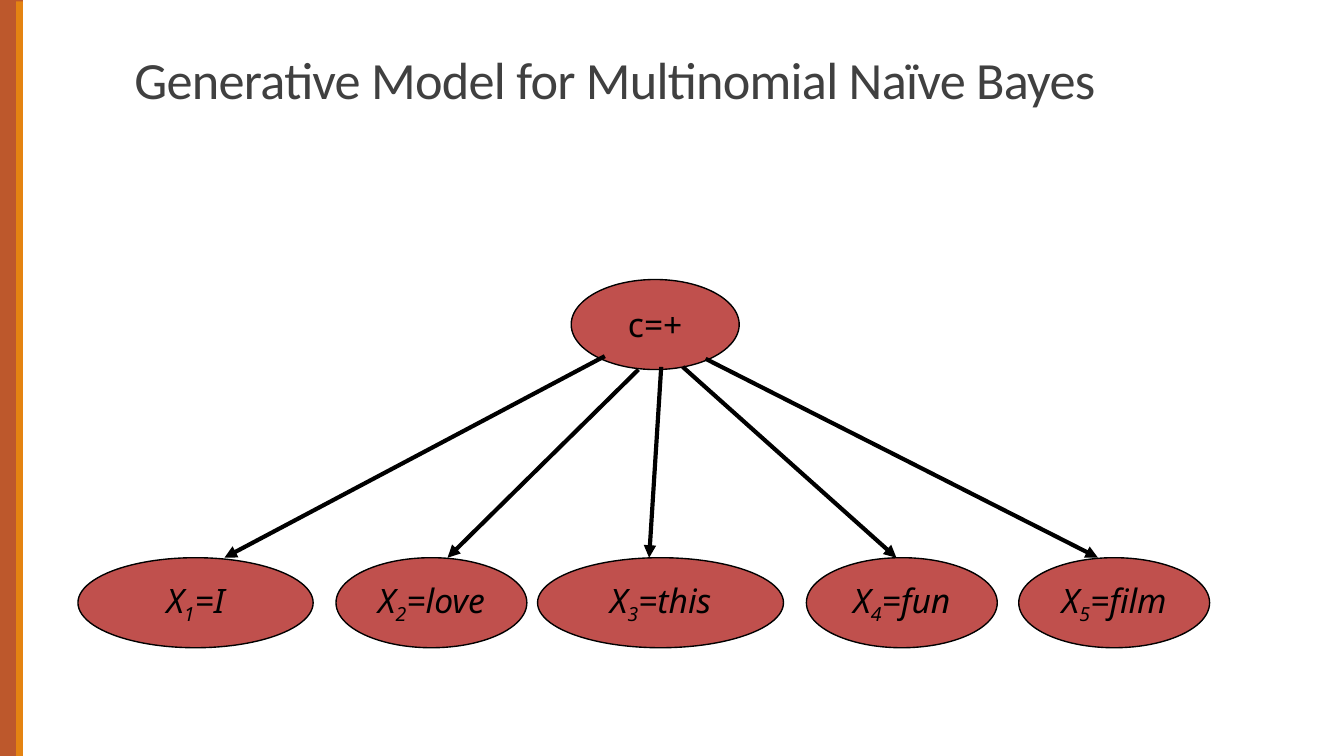
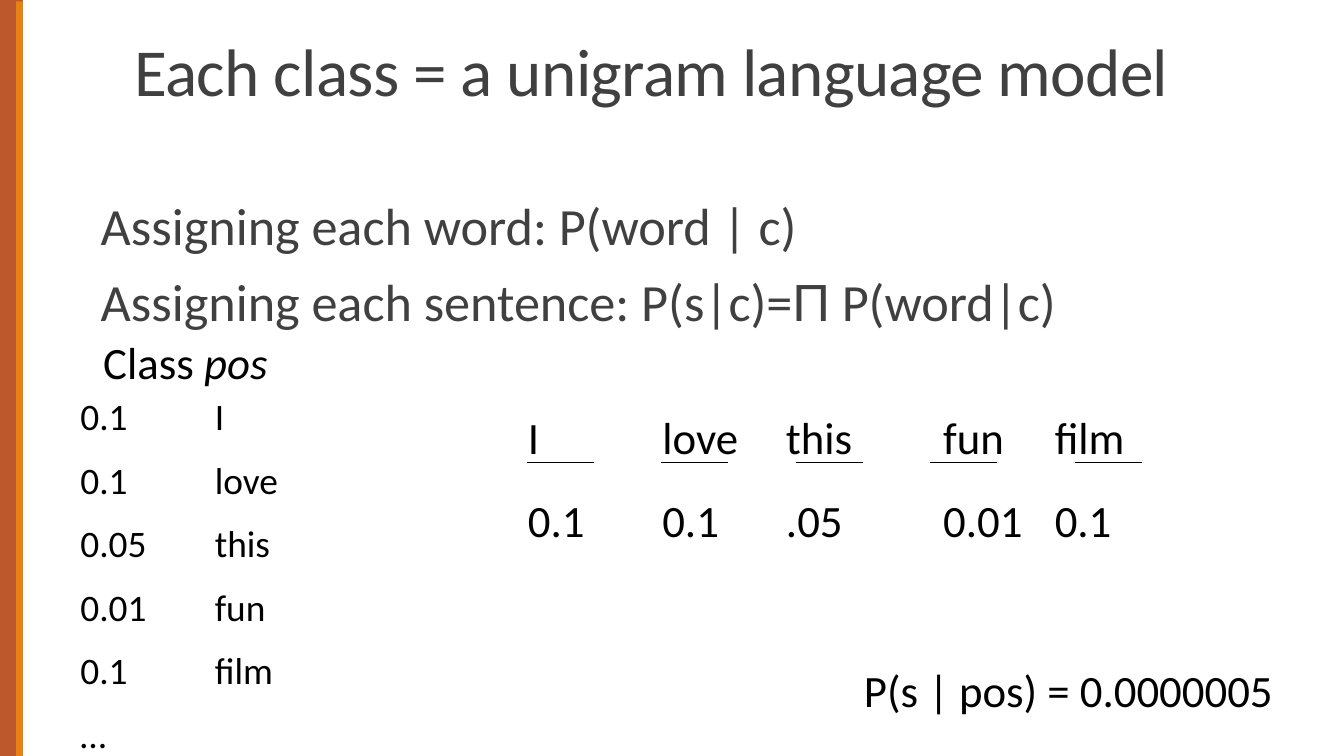
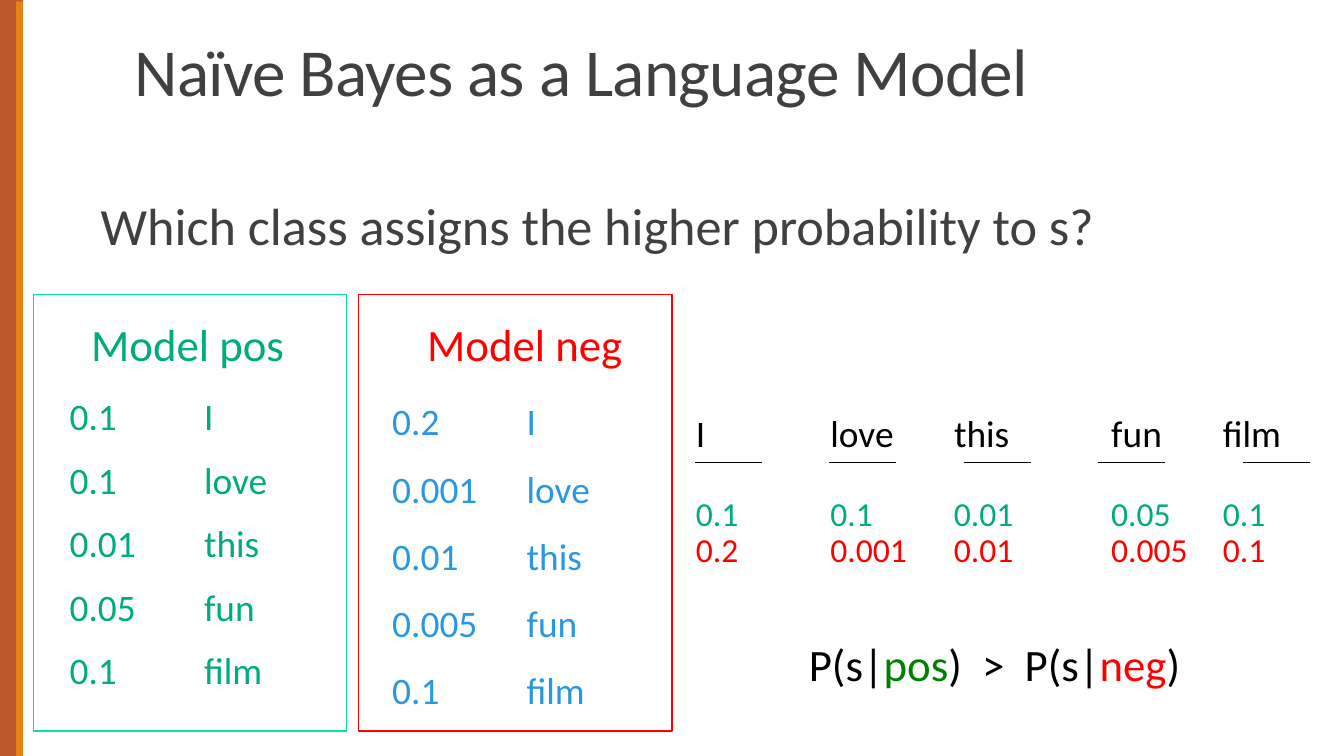
from dataclasses import dataclass

from lxml import etree
from pptx import Presentation
from pptx.dml.color import RGBColor
from pptx.enum.shapes import MSO_CONNECTOR, MSO_SHAPE
from pptx.enum.text import MSO_ANCHOR, MSO_AUTO_SIZE, PP_ALIGN
from pptx.oxml.ns import qn
from pptx.util import Inches, Pt

STRAIGHT = MSO_CONNECTOR.STRAIGHT
RECTANGLE, OVAL = MSO_SHAPE.RECTANGLE, MSO_SHAPE.OVAL
MIDDLE, BOTTOM = MSO_ANCHOR.MIDDLE, MSO_ANCHOR.BOTTOM
LEFT, CENTER = PP_ALIGN.LEFT, PP_ALIGN.CENTER
FIXED, GROW = MSO_AUTO_SIZE.NONE, MSO_AUTO_SIZE.SHAPE_TO_FIT_TEXT

COLORS = {
    "brown": "BD582C", "orange": "E48312", "gray": "404040", "black": "000000",
    "node": "C0504D", "pos": "00AB7E", "pos_frame": "00E4A8", "pos_label": "008000",
    "neg": "FF0000", "neg_list": "2998E3",
}
FONT, NODE_FONT, SYMBOL_FONT = "Calibri", "Noto Sans", "Arial"
TITLE_ONLY = 5
SLIDE_WIDTH = Inches(10)
SLIDE_HEIGHT = SLIDE_WIDTH * 9 // 16
WORD_TAB = Inches(1)


@dataclass(frozen=True)
class Box:
    left: float
    top: float
    width: float
    height: float

    def lengths(self) -> list:
        return [Inches(v) for v in (self.left, self.top, self.width, self.height)]


@dataclass(frozen=True)
class Run:
    text: str
    color: str = "black"
    font: str = FONT
    italic: bool = False
    baseline: int = 0


@dataclass(frozen=True)
class Node:
    left: float
    top: float
    width: float
    runs: tuple


@dataclass(frozen=True)
class WordRow:
    """Texts set under each other in the columns of the sentence."""
    top: float
    height: float
    size: int
    texts: tuple
    widths: tuple
    color: str = "black"


BANDS = ((Box(-2.75, 2.71, 5.63, 0.21), "brown"), (Box(-2.67, 2.8, 5.63, 0.05), "orange"))
WORDS = ("I", "love", "this", "fun", "film")
COLUMNS = (0, 1, 1.92, 3.09, 3.92)
UNDERLINES = (0.09, 1.09, 2.09, 3.09, 4.17)


# Shared helpers
def rgb(name: str) -> RGBColor:
    return RGBColor.from_string(COLORS[name])


def add_run(paragraph, run: Run, size: float):
    piece = paragraph.add_run()
    piece.text = run.text
    piece.font.name = run.font
    piece.font.size = Pt(size)
    piece.font.color.rgb = rgb(run.color)
    if run.italic:
        piece.font.italic = True
    if run.baseline:
        piece._r.get_or_add_rPr().set("baseline", str(run.baseline * 1000))
    return piece


def add_tab_stop(paragraph, position: int) -> None:
    tabs = etree.SubElement(paragraph._p.get_or_add_pPr(), qn("a:tabLst"))
    etree.SubElement(tabs, qn("a:tab"), pos=str(position), algn="l")


def add_text(shapes, box: Box, lines, size: float, line_spacing: float = 1.0,
             space_before: float = 0, space_after: float = 0, wrap: bool = True):
    """Add a text box; each line is a sequence of runs."""
    shape = shapes.add_textbox(*box.lengths())
    frame = shape.text_frame
    frame.word_wrap = wrap
    frame.auto_size = GROW
    for index, runs in enumerate(lines):
        paragraph = frame.add_paragraph() if index else frame.paragraphs[0]
        paragraph.line_spacing = line_spacing
        paragraph.space_before = Pt(space_before if index else 0)
        paragraph.space_after = Pt(space_after)
        if any("\t" in run.text for run in runs):
            add_tab_stop(paragraph, WORD_TAB)
        for run in runs:
            add_run(paragraph, run, size)
    return shape


def add_body(slide, height: float, lines) -> None:
    shape = add_text(slide.shapes, Box(0.75, 1.44, 8.5, height), lines, 28,
                     line_spacing=0.9, space_before=9, space_after=1.5)
    shape.text_frame.auto_size = FIXED
    shape.text_frame.margin_left = shape.text_frame.margin_right = 0


def add_shape(slide, kind, box: Box, fill: str = "", line: str = ""):
    shape = slide.shapes.add_shape(kind, *box.lengths())
    shape.shadow.inherit = False
    if fill:
        shape.fill.solid()
        shape.fill.fore_color.rgb = rgb(fill)
    else:
        shape.fill.background()
    if line:
        shape.line.color.rgb = rgb(line)
        shape.line.width = Pt(0.75)
    else:
        shape.line.fill.background()
    return shape


def add_line(shapes, start: tuple, end: tuple, width: float, arrow: bool = False) -> None:
    points = [Inches(value) for value in (*start, *end)]
    connector = shapes.add_connector(STRAIGHT, *points)
    connector.line.color.rgb = rgb("black")
    connector.line.width = Pt(width)
    if arrow:
        etree.SubElement(connector.line._get_or_add_ln(), qn("a:tailEnd"), type="triangle")
    etree.SubElement(connector._element.spPr, qn("a:effectLst"))


def add_slide(presentation, title: str, size: float):
    slide = presentation.slides.add_slide(presentation.slide_layouts[TITLE_ONLY])
    for box, color in BANDS:
        add_shape(slide, RECTANGLE, box, fill=color).rotation = 270
    placeholder = slide.shapes.title
    placeholder.left, placeholder.top, placeholder.width, placeholder.height = \
        Box(0.9, 0.13, 8.25, 0.74).lengths()
    frame = placeholder.text_frame
    frame.auto_size = FIXED
    frame.word_wrap = True
    frame.vertical_anchor = BOTTOM
    paragraph = frame.paragraphs[0]
    paragraph.alignment = LEFT
    paragraph.line_spacing = 0.85
    run = add_run(paragraph, Run(title, "gray"), size)
    run._r.get_or_add_rPr().set("spc", "-36")
    return slide


def add_node(slide, node: Node) -> None:
    shape = add_shape(slide, OVAL, Box(node.left, node.top, node.width, 0.67), "node", "black")
    frame = shape.text_frame
    frame.word_wrap = False
    frame.vertical_anchor = MIDDLE
    paragraph = frame.paragraphs[0]
    paragraph.alignment = CENTER
    for run in node.runs:
        add_run(paragraph, run, 18)


def add_word_row(shapes, left: float, row: WordRow) -> None:
    for column, text, width in zip(COLUMNS, row.texts, row.widths):
        add_text(shapes, Box(left + column, row.top, width, row.height),
                 [[Run(text, row.color)]], row.size)


def add_underlines(shapes, left: float) -> None:
    for offset in UNDERLINES:
        start = left + offset
        add_line(shapes, (start, 3.44), (start + 0.5, 3.44), 0.75)


def model_lines(values: tuple, color: str = "black") -> list:
    return [[Run(f"{value}\t{word}", color)] for value, word in zip(values, WORDS)]


# Slide 1: class node with an arrow to each word node
def build_generative_model(presentation) -> None:
    slide = add_slide(presentation, "Generative Model for Multinomial Naïve Bayes", 28)
    add_node(slide, Node(4.25, 2.08, 1.25, (Run("c=+", font=NODE_FONT),)))
    lefts, widths = (0.58, 2.5, 4, 6, 7.58), (1.75, 1.42, 1.83, 1.42, 1.42)
    for number, (left, width, word) in enumerate(zip(lefts, widths, WORDS), 1):
        add_node(slide, Node(left, 4.15, width, (
            Run("X", font=NODE_FONT, italic=True),
            Run(str(number), font=NODE_FONT, italic=True, baseline=-25),
            Run(f"={word}", font=NODE_FONT, italic=True))))
    starts = ((4.5, 2.65), (4.75, 2.75), (4.92, 2.73), (5.08, 2.73), (5.25, 2.67))
    for start, end in zip(starts, (1.67, 3.33, 4.83, 6.67, 8.17)):
        add_line(slide.shapes, start, (end, 4.15), 2.25, arrow=True)


# Slide 2: probability of a sentence under one class
def build_unigram_model(presentation) -> None:
    slide = add_slide(presentation, "Each class = a unigram language model", 36)
    shapes = slide.shapes
    add_body(slide, 1.12, [
        [Run("Assigning each word: P(word | c)", "gray")],
        [Run("Assigning each sentence: P(s|c)=", "gray"), Run("Π", "gray", SYMBOL_FONT),
         Run(" P(word|c)", "gray")]])
    lines = model_lines(("0.1", "0.1", "0.05", "0.01", "0.1")) + [[Run("…")]]
    add_text(shapes, Box(0.5, 2.88, 2.67, 2.96), lines, 20, space_before=10)
    widths = (0.67, 0.83, 0.83, 0.83, 1.5)
    sentence_left = 3.83
    add_word_row(shapes, sentence_left, WordRow(3, 0.5, 24, WORDS, widths))
    add_underlines(shapes.add_group_shape().shapes, sentence_left)
    values = ("0.1", "0.1", ".05", "0.01", "0.1")
    add_word_row(shapes, sentence_left, WordRow(3.62, 0.5, 24, values, widths))
    add_text(shapes, Box(0.67, 2.44, 1.5, 0.5), [[Run("Class "), Run("pos", italic=True)]], 24)
    add_text(shapes, Box(6.33, 4.88, 3.25, 0.5), [[Run("P(s | pos) = 0.0000005")]], 24)


# Slide 3: two models compared on the same sentence
def build_model_comparison(presentation) -> None:
    slide = add_slide(presentation, "Naïve Bayes as a Language Model", 36)
    shapes = slide.shapes
    add_body(slide, 0.89, [[Run("Which class assigns the higher probability to s?", "gray")]])
    pos_values = ("0.1", "0.1", "0.01", "0.05", "0.1")
    neg_values = ("0.2", "0.001", "0.01", "0.005", "0.1")
    add_text(shapes, Box(0.42, 2.88, 2.67, 2.46), model_lines(pos_values, "pos"), 20,
             space_before=10)
    for name, label_left, frame_left, frame_color in (
            ("pos", 0.58, 0.25, "pos_frame"), ("neg", 3.08, 2.67, "neg")):
        add_text(shapes, Box(label_left, 2.31, 1.75, 0.5), [[Run(f"Model {name}", name)]], 24)
        add_shape(slide, RECTANGLE, Box(frame_left, 2.19, 2.33, 3.25), line=frame_color)

    sentence_left = 5.08
    sentence = shapes.add_group_shape().shapes
    add_word_row(sentence, sentence_left,
                 WordRow(3, 0.44, 20, WORDS, (1.08, 1.08, 1.08, 0.83, 1.5)))
    add_underlines(sentence, sentence_left)
    scores = shapes.add_group_shape().shapes
    for row in (WordRow(3.62, 0.4, 18, pos_values, (0.83, 0.83, 1, 1, 1.5), "pos"),
                WordRow(3.89, 0.4, 18, neg_values, (0.83, 0.92, 1, 1, 1.5), "neg")):
        add_word_row(scores, sentence_left, row)

    add_text(shapes, Box(5.92, 4.69, 3.17, 0.5), [[
        Run("P(s|"), Run("pos", "pos_label"), Run(")  >  P(s|"), Run("neg", "neg"),
        Run(")")]], 24)
    add_text(shapes, Box(2.82, 2.75, 1.69, 2.6), model_lines(neg_values, "neg_list"), 20,
             line_spacing=1.5, wrap=False)


def main() -> None:
    presentation = Presentation()
    presentation.slide_width = SLIDE_WIDTH
    presentation.slide_height = SLIDE_HEIGHT
    build_generative_model(presentation)
    build_unigram_model(presentation)
    build_model_comparison(presentation)
    presentation.save("out.pptx")


if __name__ == "__main__":
    main()
